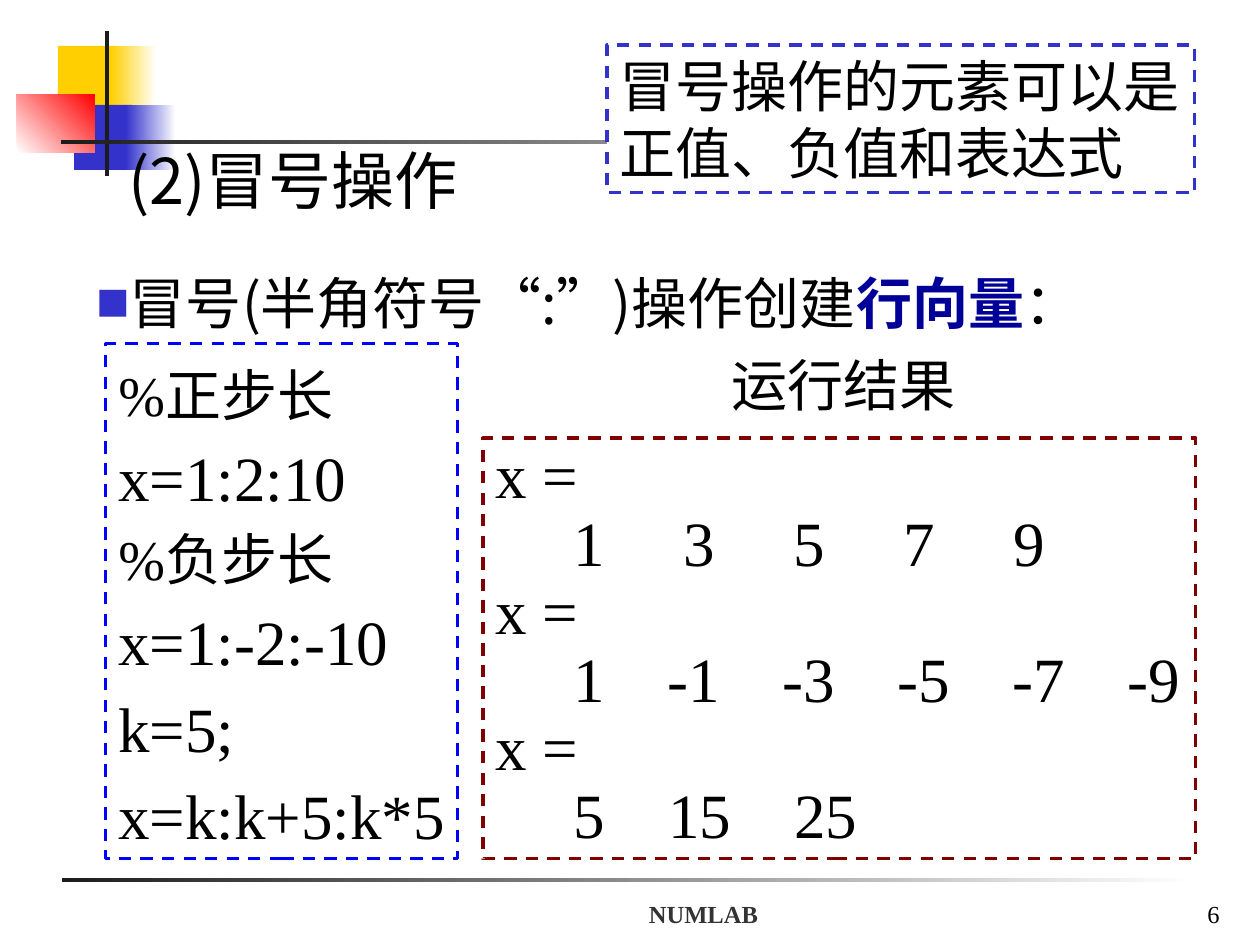
from dataclasses import dataclass

import pptx
import pptx.dml.color
import pptx.enum.dml
import pptx.enum.shapes
import pptx.enum.text
import pptx.oxml.ns
import pptx.util
from lxml import etree

PX = 914400 // 126
ALIGN = pptx.enum.text.PP_ALIGN
ANCHOR = pptx.enum.text.MSO_ANCHOR
RECT = pptx.enum.shapes.MSO_SHAPE.RECTANGLE


@dataclass(frozen=True)
class Theme:
    white: str = "FFFFFF"
    black: str = "000000"
    ink: str = "1C1C1C"
    gray: str = "333333"
    gold: str = "FFCF01"
    red: str = "FF0000"
    blue: str = "3333CC"
    code: str = "0000FF"
    wine: str = "800000"
    navy: str = "000099"
    big: int = 36
    body: int = 32
    small: int = 14
    edge: float = 1.75
    serif: str = "Times New Roman"
    sans: str = "Arial"
    head: str = "Karla"
    cjk: str = "Noto Sans CJK SC"


T = Theme()


@dataclass(frozen=True)
class Area:
    x: int
    y: int
    w: int
    h: int

    def emu(self) -> list[int]:
        return [n * PX for n in (self.x, self.y, self.w, self.h)]


@dataclass(frozen=True)
class Block:
    area: Area
    fill: str
    fade: str = ""
    angle: int = 0


@dataclass(frozen=True)
class Run:
    text: str
    face: str = T.cjk
    color: str = T.black
    bold: bool = False


@dataclass(frozen=True)
class Line:
    runs: tuple[Run, ...]
    size: int = T.body
    space: float = 1.0
    before: float = 0
    align: ALIGN = ALIGN.LEFT
    bullet: str = ""
    tabs: tuple[int, ...] = ()


@dataclass(frozen=True)
class Panel:
    area: Area
    lines: tuple[Line, ...]
    edge: str = ""
    fill: str = ""
    anchor: ANCHOR = ANCHOR.TOP


def rgb(code: str) -> pptx.dml.color.RGBColor:
    return pptx.dml.color.RGBColor.from_string(code)


def child(node, tag: str, **attrs: str):
    return etree.SubElement(node, pptx.oxml.ns.qn(tag), attrs)


def draw_block(slide, block: Block) -> None:
    shape = slide.shapes.add_shape(RECT, *block.area.emu())
    shape.shadow.inherit = False
    shape.line.fill.background()
    if block.fade:
        shape.fill.gradient()
        shape.fill.gradient_angle = block.angle
        for stop, color in zip(shape.fill.gradient_stops, (block.fill, block.fade)):
            stop.color.rgb = rgb(color)
    else:
        shape.fill.solid()
        shape.fill.fore_color.rgb = rgb(block.fill)


def style(font, run: Run, size: int) -> None:
    font.name = run.face
    font.size = pptx.util.Pt(size)
    font.bold = run.bold
    font.color.rgb = rgb(run.color)
    child(font._element if hasattr(font, "_element") else font._rPr, "a:ea", typeface=T.cjk)


def write(para, line: Line) -> None:
    para.alignment = line.align
    para.line_spacing = line.space
    para.space_before = pptx.util.Pt(line.before)
    props = para._p.get_or_add_pPr()
    if line.bullet:
        props.set("marL", "9144")
        props.set("indent", "-9144")
        child(child(props, "a:buClr"), "a:srgbClr", val=T.blue)
        child(props, "a:buSzPct", val="60000")
        child(props, "a:buFont", typeface=T.cjk)
        child(props, "a:buChar", char=line.bullet)
    if line.tabs:
        stops = child(props, "a:tabLst")
        for tab in line.tabs:
            child(stops, "a:tab", pos=str(tab * PX), algn="r")
    for item in line.runs:
        run = para.add_run()
        run.text = item.text
        if len(line.runs) > 1:
            style(run.font, item, line.size)
    if len(line.runs) == 1:
        style(para.font, line.runs[0], line.size)


def draw_panel(slide, panel: Panel) -> None:
    if panel.edge:
        shape = slide.shapes.add_shape(RECT, *panel.area.emu())
        shape.shadow.inherit = False
        shape.line.color.rgb = rgb(panel.edge)
        shape.line.width = pptx.util.Pt(T.edge)
        shape.line.dash_style = pptx.enum.dml.MSO_LINE.DASH
        if panel.fill:
            shape.fill.solid()
            shape.fill.fore_color.rgb = rgb(panel.fill)
        else:
            shape.fill.background()
    else:
        shape = slide.shapes.add_textbox(*panel.area.emu())
    frame = shape.text_frame
    frame.word_wrap = True
    frame.vertical_anchor = panel.anchor
    if panel.lines[0].align == ALIGN.LEFT:
        frame.margin_right = 0
    for i, line in enumerate(panel.lines):
        write(frame.add_paragraph() if i else frame.paragraphs[0], line)


def code(text: str, size: int = T.big) -> Line:
    return Line((Run(text, T.serif),), size, 1.15)


def result(values: str, pitch: int) -> tuple[Line, Line]:
    items = values.split()
    tabs = tuple(110 + pitch * i for i in range(len(items)))
    row = "".join("\t" + item for item in items)
    return (Line((Run("x =", T.serif),), T.big, 0.9),
            Line((Run(row, T.serif),), T.big, 0.9, tabs=tabs))


BLOCKS = (
    Block(Area(58, 46, 60, 66), T.gold),
    Block(Area(111, 46, 45, 66), T.gold, T.white),
    Block(Area(74, 105, 58, 65), T.blue),
    Block(Area(126, 105, 50, 65), T.blue, T.white),
    Block(Area(17, 94, 78, 59), T.white, T.red, 45),
    Block(Area(105, 31, 4, 145), T.ink),
    Block(Area(61, 140, 1134, 4), T.ink, T.white),
    Block(Area(62, 878, 1134, 4), T.ink, T.white),
)

PANELS = (
    Panel(Area(504, 872, 399, 63),
          (Line((Run("NUMLAB", T.serif, T.gray, True),), T.small, align=ALIGN.CENTER),),
          anchor=ANCHOR.BOTTOM),
    Panel(Area(970, 872, 262, 63),
          (Line((Run("6", T.serif),), T.small, align=ALIGN.RIGHT),),
          anchor=ANCHOR.BOTTOM),
    Panel(Area(84, 252, 1113, 91),
          (Line((Run("冒号(半角符号"), Run("“", T.sans), Run(":"), Run("”", T.sans),
                 Run(")操作创建"), Run("行向量", T.serif, T.navy, True), Run("：")),
                space=1.15, align=ALIGN.JUSTIFY, bullet="■"),)),
    Panel(Area(106, 344, 352, 515),
          (code("%正步长", T.body), code("x=1:2:10"),
           code("%负步长", T.body), code("x=1:-2:-10"),
           code("k=5;"), code("x=k:k+5:k*5")), T.code),
    Panel(Area(483, 438, 713, 421),
          result("1 3 5 7 9", 110) + result("1 -1 -3 -5 -7 -9", 115)
          + result("5 15 25", 126), T.wine),
    Panel(Area(719, 344, 249, 81), (Line((Run("运行结果", T.head),)),)),
    Panel(Area(607, 45, 588, 148),
          (Line((Run("冒号操作的元素可以是正值、负值和表达式", T.head),)),), T.blue, T.white),
    Panel(Area(116, 135, 1092, 88),
          (Line((Run("(2)冒号操作"),), T.big, before=22.5),)),
)


def main() -> None:
    deck = pptx.Presentation()
    deck.slide_width, deck.slide_height = 1260 * PX, 945 * PX
    slide = deck.slides.add_slide(deck.slide_layouts[6])
    for block in BLOCKS:
        draw_block(slide, block)
    for panel in PANELS:
        draw_panel(slide, panel)
    deck.save("out.pptx")


if __name__ == "__main__":
    main()
